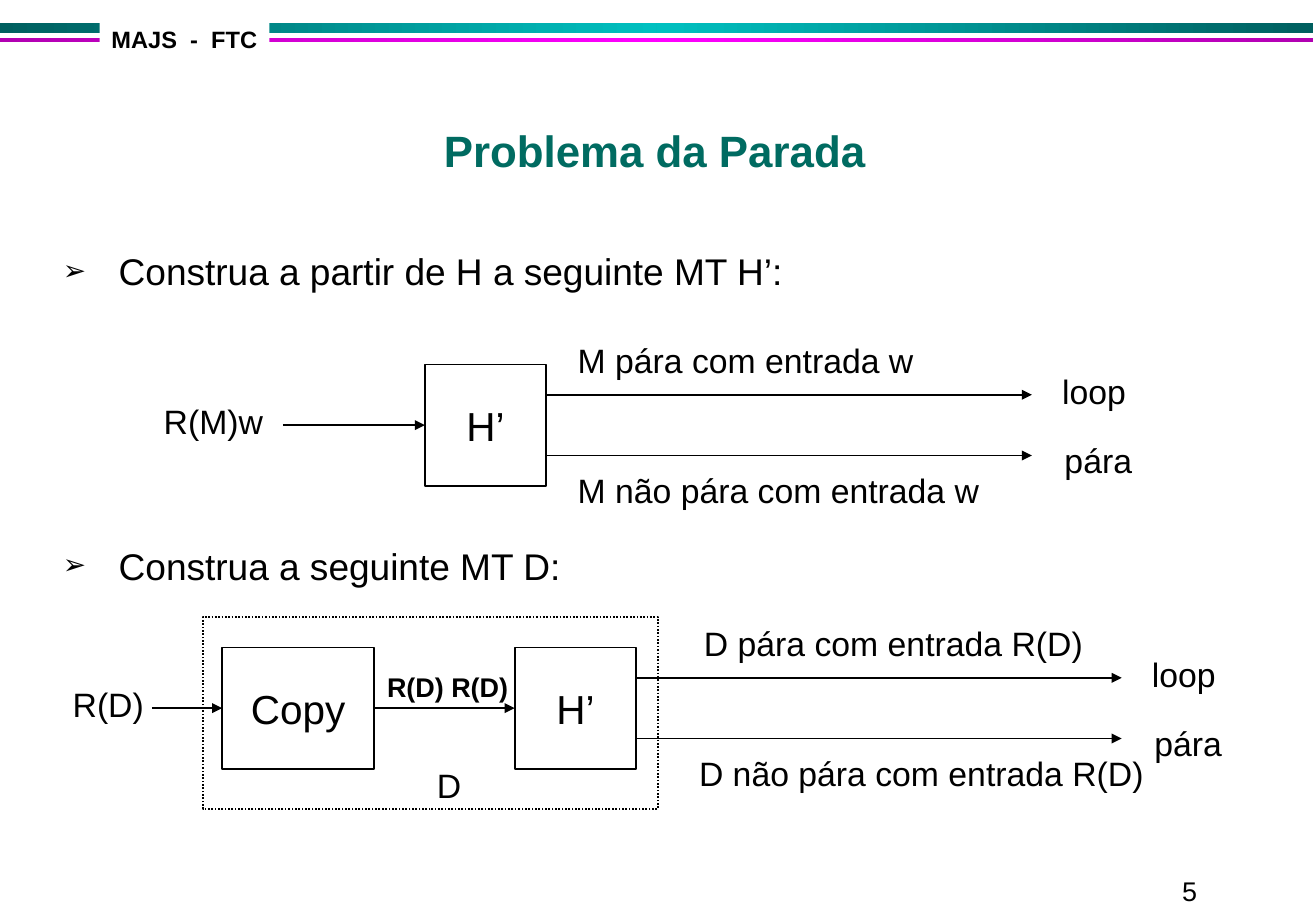
from lxml import etree
from pptx import Presentation
from pptx import util as u
from pptx.dml.color import RGBColor
from pptx.enum import dml, shapes, text
from pptx.oxml.ns import qn

BLACK, WHITE, GREEN = "000000", "FFFFFF", "006B61"
TITLE = "Problema da Parada"
STEPS = ["Construa a partir de H a seguinte MT H’:", "Construa a seguinte MT D:"]
STEP_GAP = 148  # points left free for the first diagram

# top, height, edge colour, middle colour
BARS = [(0.19, 0.08, "005F5F", "00C0C0"), (0.31, 0.04, "B100B1", "FF00FF")]

# x and y of the H’ box, then (label, x) for the upper and lower outputs
MACHINES = [
    (3.5, 3, ("M pára com entrada w", 4.66), ("M não pára com entrada w", 4.66)),
    (4.24, 5.33, ("D pára com entrada R(D)", 5.7), ("D não pára com entrada R(D)", 5.66)),
]
# x from, x to, y
INPUT_ARROWS = [(2.33, 3.5, 3.5), (1.25, 1.83, 5.83), (3.08, 4.24, 5.83)]
# text, x, y, width, height, size, bold
LABELS = [
    ("R(M)w", 1.25, 3.25, 1.02, 0.44, 20, False),
    ("R(D)", 0.5, 5.58, 0.79, 0.44, 20, False),
    ("R(D) R(D)", 3.09, 5.47, 1.19, 0.37, 16, True),
    ("D", 3.5, 6.25, 0.4, 0.44, 20, False),
    ("5", 9.64, 7.15, 0.33, 0.36, 16, False),
]

prs = Presentation()
prs.slide_width, prs.slide_height = u.Inches(10.84), u.Inches(7.5)
s = prs.slides.add_slide(prs.slide_layouts[5])


def color(value):
    return RGBColor.from_string(value)


def inches(*values):
    return [u.Inches(v) for v in values]


def style(p, size, bold=False, c=BLACK):
    for r in p.runs:
        r.font.name, r.font.size, r.font.bold = "Arial", u.Pt(size), bold
        r.font.color.rgb = color(c)


def rect(x, y, w, h, fill=None, line=None):
    sp = s.shapes.add_shape(shapes.MSO_SHAPE.RECTANGLE, *inches(x, y, w, h))
    sp.shadow.inherit = False
    if fill:
        sp.fill.solid()
        sp.fill.fore_color.rgb = color(fill)
    else:
        sp.fill.background()
    if line:
        sp.line.color.rgb, sp.line.width = color(line), u.Pt(1)
    else:
        sp.line.fill.background()
    return sp


def box(name, x, y, w):
    sp = rect(x, y, w, 1, line=BLACK)
    tf = sp.text_frame
    tf.text = name
    tf.paragraphs[0].alignment = text.PP_ALIGN.CENTER
    style(tf.paragraphs[0], 24)


def label(words, x, y, w, h=0.44, size=20, bold=False):
    tf = s.shapes.add_textbox(*inches(x, y, w, h)).text_frame
    tf.word_wrap = True
    tf.margin_right = 0  # keeps each label on one line
    tf.text = words
    style(tf.paragraphs[0], size, bold)


def arrow(x1, x2, y):
    cn = s.shapes.add_connector(shapes.MSO_CONNECTOR.STRAIGHT, *inches(x1, y, x2, y))
    cn.line.color.rgb, cn.line.width = color(BLACK), u.Pt(1)
    etree.SubElement(cn.line._get_or_add_ln(), qn("a:tailEnd"), type="triangle")
    etree.SubElement(cn._element.spPr, qn("a:effectLst"))


# Header bars and course name
for top, height, edge, middle in BARS:
    for left, start, end in [(0, edge, middle), (5.41, middle, edge)]:
        sp = rect(left, top, 5.41, height)
        sp.fill.gradient()
        sp.fill.gradient_angle = 0
        for stop, c in zip(sp.fill.gradient_stops, (start, end)):
            stop.color.rgb = color(c)
rect(0.82, 0.16, 1.4, 0.33, fill=WHITE)
label("MAJS  -  FTC", 0.82, 0.16, 1.4, 0.33, 14, True)

# Title
title = s.shapes.title
title.left, title.top, title.width, title.height = inches(0.79, 0.81, 9.21, 0.69)
title.text_frame.text = TITLE
title.text_frame.vertical_anchor = text.MSO_ANCHOR.BOTTOM
title.text_frame.paragraphs[0].alignment = text.PP_ALIGN.CENTER
style(title.text_frame.paragraphs[0], 26, True, GREEN)

# Bulleted steps
tf = s.shapes.add_textbox(*inches(0.42, 2, 10.17, 4.9)).text_frame
tf.word_wrap = True
tf.text = "\n".join(STEPS)
for i, p in enumerate(tf.paragraphs):
    pPr = p._p.get_or_add_pPr()
    pPr.set("marL", str(u.Inches(0.46)))
    pPr.set("indent", str(u.Inches(-0.46)))
    etree.SubElement(pPr, qn("a:buSzPct"), val="75000")
    etree.SubElement(pPr, qn("a:buFont"), typeface="Arial")
    etree.SubElement(pPr, qn("a:buChar"), char="➢")
    p.space_before = u.Pt(STEP_GAP * i)
    style(p, 22)

# Machines: H’ box with its two outputs
for x, y, (halts, halts_x), (runs_on, runs_on_x) in MACHINES:
    box("H’", x, y, 1)
    for dy in (0.25, 0.75):
        arrow(x + 1, x + 5, y + dy)
    label(halts, halts_x, y - 0.25, 3.32)
    label(runs_on, runs_on_x, y + 0.82, 3.86)
    label("loop", x + 5.15, y, 0.72)
    label("pára", x + 5.17, y + 0.57, 0.75)

# Copy box and the dotted frame of D
box("Copy", 1.83, 5.33, 1.25)
frame = rect(1.67, 5.08, 3.75, 1.58, line=BLACK)
frame.line.dash_style = dml.MSO_LINE.ROUND_DOT

# Inputs and remaining labels
for x1, x2, y in INPUT_ARROWS:
    arrow(x1, x2, y)
for item in LABELS:
    label(*item)

prs.save("out.pptx")
